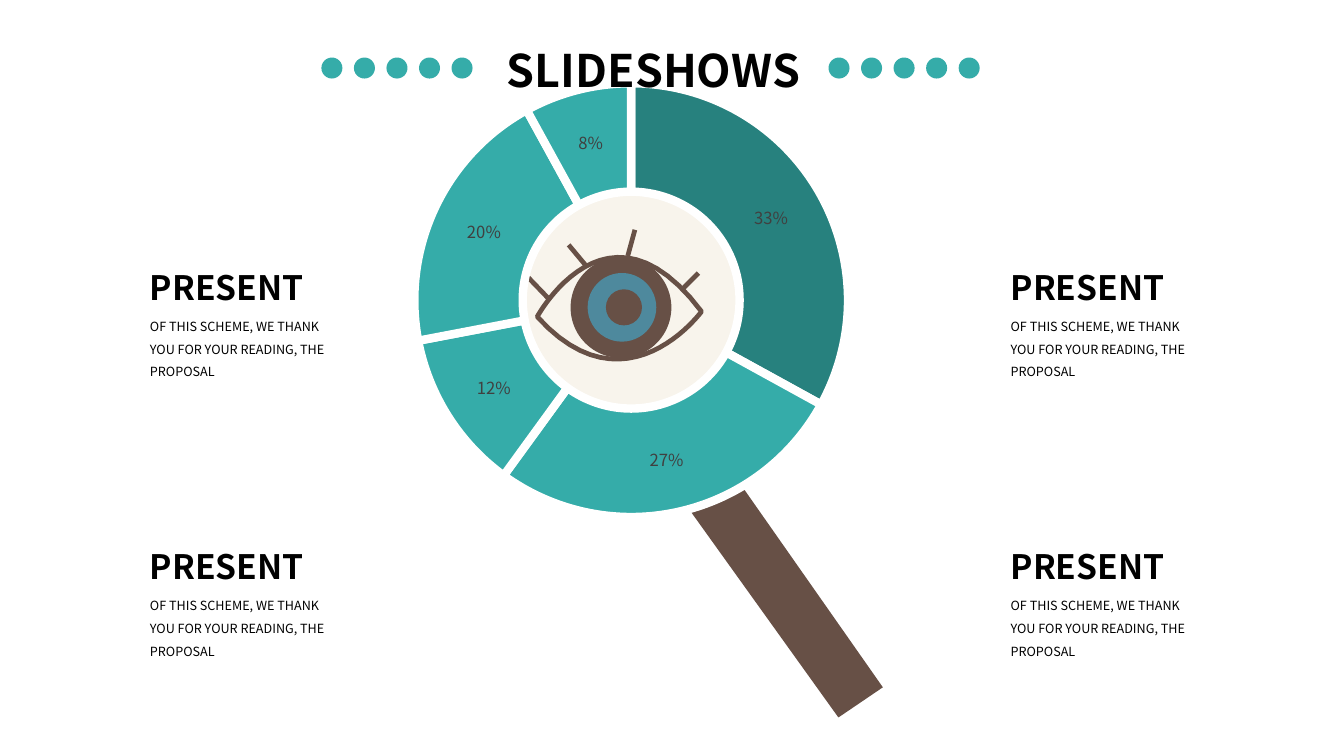
from dataclasses import dataclass

from lxml import etree
from pptx import Presentation
from pptx import util as u
from pptx.chart.data import CategoryChartData
from pptx.dml.color import RGBColor
from pptx.enum import chart as charts, shapes, text
from pptx.oxml import parse_xml
from pptx.oxml.ns import nsdecls, qn


@dataclass(frozen=True)
class Theme:
    font: str = "Noto Sans CJK JP"
    black: str = "000000"
    white: str = "FFFFFF"
    label: str = "404040"
    teal: str = "35ACA9"
    dark_teal: str = "27817E"
    brown: str = "675046"
    blue: str = "4E899D"
    cream: str = "F8F4EC"
    title_size: float = 32
    heading_size: float = 24
    body_size: float = 9
    label_size: float = 11.9
    outline: float = 3.38
    slice_gap: float = 6


THEME = Theme()
TITLE = "SLIDESHOWS"
HEADING = "PRESENT"
BODY = "OF THIS SCHEME, WE THANK YOU FOR YOUR READING, THE PROPOSAL"
SHARES = [0.33, 0.27, 0.12, 0.2, 0.08]
HANDLE = [(17.4, 12.88), (21.13, 18.08), (22.25, 17.32), (18.64, 12.17)]
EYE_LEFT, EYE_RIGHT = (13.54, 7.98), (17.68, 7.85)
UPPER_LID, LOWER_LID = (15.32, 4.7), (15.77, 10.46)
IRIS_RINGS = [
    (14.38, 6.48, 2.54, THEME.brown),
    (14.81, 6.88, 1.73, THEME.blue),
    (15.27, 7.29, 0.91, THEME.brown),
]
LASHES = [
    (13.84, 7.54, 13.31, 6.99),
    (14.78, 6.71, 14.33, 6.17),
    (15.82, 6.45, 16, 5.79),
    (17.22, 7.26, 17.6, 6.88),
]


def color(value):
    return RGBColor.from_string(value)


def set_font(font, size, shade, bold=False):
    values = {"name": THEME.font, "size": u.Pt(size), "bold": bold}
    for name, value in values.items():
        setattr(font, name, value)
    font.color.rgb = color(shade)


def set_line(line, shade, width):
    line.color.rgb = color(shade)
    line.width = u.Pt(width)


def add_circle(slide, left, top, diameter, fill):
    shape = slide.shapes.add_shape(
        shapes.MSO_SHAPE.OVAL, u.Cm(left), u.Cm(top), u.Cm(diameter), u.Cm(diameter)
    )
    shape.shadow.inherit = False
    shape.fill.solid()
    shape.fill.fore_color.rgb = color(fill)
    shape.line.fill.background()


def add_polygon(slide, points):
    """Add a closed outline through points given in centimetres."""
    points = [(u.Cm(x), u.Cm(y)) for x, y in points]
    builder = slide.shapes.build_freeform(*points[0])
    builder.add_line_segments(points[1:], close=True)
    shape = builder.convert_to_shape()
    shape.shadow.inherit = False
    return shape


def add_handle(slide):
    shape = add_polygon(slide, HANDLE)
    shape.fill.solid()
    shape.fill.fore_color.rgb = color(THEME.brown)
    shape.line.fill.background()


def lid_points(start, control, end, steps=24):
    """Sample a cubic curve whose first control is start and whose last is end."""
    points = []
    for step in range(steps):
        t = step / steps
        weights = (1 - t) ** 3 + 3 * t * (1 - t) ** 2, 3 * t**2 * (1 - t), t**3
        points.append(
            tuple(
                sum(w * p[axis] for w, p in zip(weights, (start, control, end)))
                for axis in (0, 1)
            )
        )
    return points


def add_lash(slide, *ends):
    lash = slide.shapes.add_connector(
        shapes.MSO_CONNECTOR.STRAIGHT, *(u.Cm(value) for value in ends)
    )
    set_line(lash.line, THEME.brown, THEME.outline)
    etree.SubElement(lash._element.spPr, qn("a:effectLst"))


def add_eye(slide):
    outline = add_polygon(
        slide,
        lid_points(EYE_LEFT, UPPER_LID, EYE_RIGHT)
        + lid_points(EYE_RIGHT, LOWER_LID, EYE_LEFT),
    )
    outline.fill.background()
    set_line(outline.line, THEME.brown, THEME.outline)
    for ring in IRIS_RINGS:
        add_circle(slide, *ring)
    for ends in LASHES:
        add_lash(slide, *ends)


def place_plot(chart):
    """Fix the ring's place, widen its hole and leave the chart background clear."""
    space = chart._chartSpace
    plot_area = space.chart.plotArea
    for layout in plot_area.findall(qn("c:layout")):
        plot_area.remove(layout)
    places = {"x": 0.19, "y": 0.03, "w": 0.63, "h": 0.94}
    modes = '<c:layoutTarget val="inner"/><c:xMode val="edge"/><c:yMode val="edge"/>'
    values = "".join(f'<c:{key} val="{value}"/>' for key, value in places.items())
    plot_area.insert(0, parse_xml(
        f'<c:layout {nsdecls("c")}><c:manualLayout>{modes}{values}'
        "</c:manualLayout></c:layout>"
    ))
    plot_area.find(".//" + qn("c:holeSize")).set("val", "56")
    space.chart.addnext(parse_xml(
        f'<c:spPr {nsdecls("c", "a")}><a:noFill/><a:ln><a:noFill/></a:ln></c:spPr>'
    ))


def add_ring_chart(slide):
    data = CategoryChartData(number_format="0%")
    data.categories = [str(number + 1) for number in range(len(SHARES))]
    data.add_series("Series 1", SHARES)
    frame = slide.shapes.add_chart(
        charts.XL_CHART_TYPE.DOUGHNUT,
        u.Cm(7.11), u.Cm(1.75), u.Cm(17.42), u.Cm(11.63), data,
    )
    chart = frame.chart
    chart.has_legend = chart.has_title = False
    set_font(chart.font, 10, THEME.black)
    plot = chart.plots[0]
    plot.vary_by_categories = True
    for index in range(len(SHARES)):
        piece = plot.series[0].points[index].format
        piece.fill.solid()
        piece.fill.fore_color.rgb = color(THEME.teal if index else THEME.dark_teal)
        set_line(piece.line, THEME.white, THEME.slice_gap)
    plot.has_data_labels = True
    labels = plot.data_labels
    values = {"show_value": True, "show_percentage": False,
              "number_format": "0%", "number_format_is_linked": False}
    for name, value in values.items():
        setattr(labels, name, value)
    set_font(labels.font, THEME.label_size, THEME.label)
    place_plot(chart)


def add_text(slide, box, content, size, bold=False, spacing=1.0,
             alignment=text.PP_ALIGN.LEFT):
    frame = slide.shapes.add_textbox(*(u.Cm(value) for value in box)).text_frame
    frame.word_wrap = True
    paragraph = frame.paragraphs[0]
    paragraph.text = content
    paragraph.line_spacing = spacing
    paragraph.alignment = alignment
    set_font(paragraph.runs[0].font, size, THEME.black, bold)


def main():
    presentation = Presentation()
    presentation.slide_width, presentation.slide_height = u.Cm(33.87), u.Cm(19.05)
    slide = presentation.slides.add_slide(presentation.slide_layouts[6])
    add_circle(slide, 10.52, 2.87, 9.98, THEME.cream)
    add_handle(slide)
    add_eye(slide)
    add_ring_chart(slide)
    for left in (3.53, 25.22):
        for top in (6.6, 13.64):
            add_text(slide, (left, top, 4.55, 1.27), HEADING, THEME.heading_size, bold=True)
            add_text(slide, (left, top + 1.12, 5.36, 1.9), BODY, THEME.body_size, spacing=1.5)
    add_text(slide, (12.32, 0.94, 8.31, 1.63), TITLE, THEME.title_size, bold=True,
             alignment=text.PP_ALIGN.CENTER)
    for row_left in (8.1, 20.88):
        for number in range(5):
            add_circle(slide, row_left + number * 0.82, 1.45, 0.53, THEME.teal)
    presentation.save("out.pptx")


if __name__ == "__main__":
    main()
